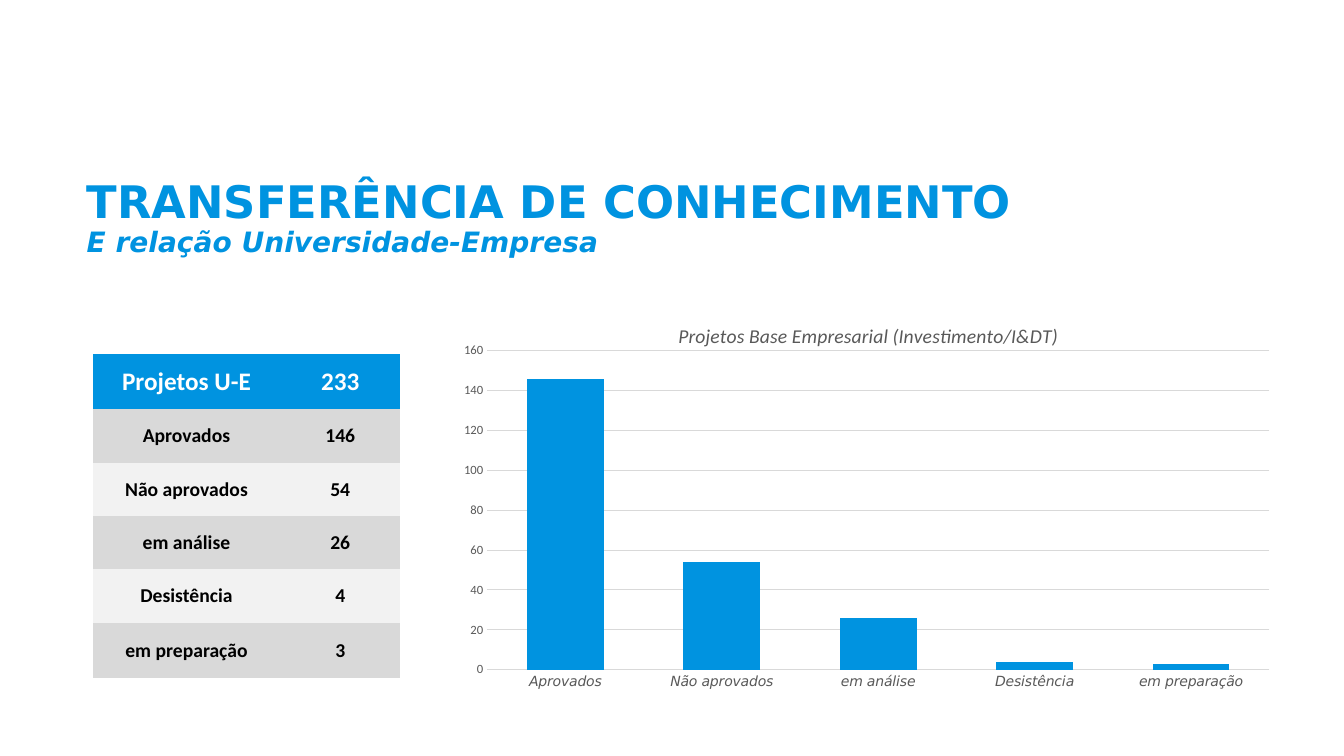
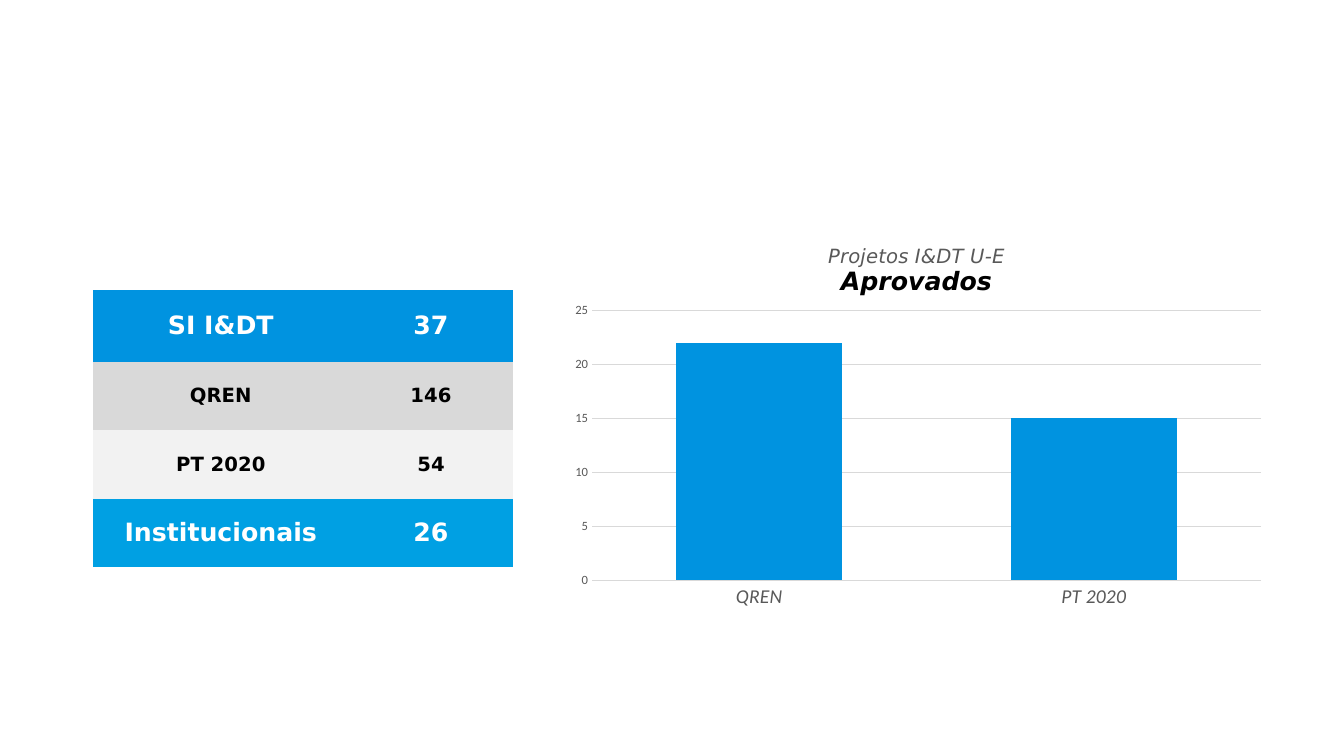
from dataclasses import dataclass

from lxml import etree
from pptx import Presentation
from pptx.chart.data import CategoryChartData
from pptx.dml.color import RGBColor
from pptx.enum import chart as ch, text as tx
from pptx.oxml import ns
from pptx.util import Inches, Pt

PLAIN_TABLE = "{2D5ABB26-0587-4C30-8999-92F81FD0307C}"


@dataclass(frozen=True)
class Theme:
    blue: str = "0093E0"
    sky: str = "00A0E3"
    white: str = "FFFFFF"
    black: str = "000000"
    gray: str = "595959"
    rule: str = "D9D9D9"
    bands: tuple = ("D9D9D9", "F2F2F2")
    sans: str = "Calibri"
    wide: str = "DejaVu Sans"
    title: int = 32
    subtitle: int = 20
    head: int = 18
    body: int = 14
    label: int = 10
    tick: int = 9


THEME = Theme()


def set_font(font, size=None, color=None, face=None, bold=False, italic=False):
    font.size, font.name = Pt(size), face
    font.bold, font.italic = bold, italic
    font.color.rgb = RGBColor.from_string(color)


def write(paragraph, text, align=None, **font_format):
    paragraph.alignment = align
    run = paragraph.add_run()
    run.text = text
    set_font(run.font, **font_format)


def set_layout(parent, index, **places):
    """Place a chart part by fractions of the chart's size."""
    for old in parent.findall(ns.qn("c:layout")):
        parent.remove(old)
    layout = etree.Element(ns.qn("c:layout"))
    manual = etree.SubElement(layout, ns.qn("c:manualLayout"))
    for key, value in places.items():
        etree.SubElement(manual, ns.qn("c:" + key)).set("val", str(value))
    parent.insert(index, layout)


class Deck:
    def __init__(self, theme):
        self.theme = theme
        self.prs = Presentation()
        self.prs.slide_width, self.prs.slide_height = Inches(13.33), Inches(7.5)
        self.slide = None

    def add_slide(self, layout):
        self.slide = self.prs.slides.add_slide(
            self.prs.slide_layouts.get_by_name(layout))

    def title(self, heading, subheading, box):
        t = self.theme
        title = self.slide.shapes.title
        title.left, title.top, title.width, title.height = map(Inches, box)
        frame = title.text_frame
        frame.auto_size = tx.MSO_AUTO_SIZE.NONE
        frame.vertical_anchor = tx.MSO_ANCHOR.MIDDLE
        line = frame.paragraphs[0]
        line.line_spacing = 0.9
        look = dict(align=tx.PP_ALIGN.LEFT, color=t.blue, face=t.wide, bold=True)
        write(line, heading, size=t.title, **look)
        line.add_line_break()
        write(line, subheading, size=t.subtitle, italic=True, **look)

    def table(self, rows, at, widths, heights, face, headings):
        """Draw banded rows; headings maps a row number to its fill."""
        t = self.theme
        frame = self.slide.shapes.add_table(
            len(rows), len(widths), *map(Inches, (*at, sum(widths), sum(heights))))
        grid = frame.table
        grid.first_row = grid.horz_banding = False
        next(frame.element.iter(ns.qn("a:tableStyleId"))).text = PLAIN_TABLE
        for column, width in zip(grid.columns, widths):
            column.width = Inches(width)
        for number, (values, height) in enumerate(zip(rows, heights)):
            grid.rows[number].height = Inches(height)
            is_heading = number in headings
            fill = headings.get(number, t.bands[(number - 1) % 2])
            for cell, value in zip(grid.rows[number].cells, values):
                cell.fill.solid()
                cell.fill.fore_color.rgb = RGBColor.from_string(fill)
                cell.vertical_anchor = tx.MSO_ANCHOR.MIDDLE
                cell.margin_left = cell.margin_right = Inches(0.08)
                cell.margin_top = cell.margin_bottom = Inches(0.08)
                write(cell.text_frame.paragraphs[0], str(value),
                      align=tx.PP_ALIGN.CENTER, face=face, bold=True,
                      size=t.head if is_heading else t.body,
                      color=t.white if is_heading else t.black)

    def column_chart(self, values, box, title_lines, title_at, plot, gap,
                     top, step, label_format):
        t = self.theme
        data = CategoryChartData()
        data.categories = list(values)
        data.add_series("Series 1", list(values.values()))
        chart = self.slide.shapes.add_chart(
            ch.XL_CHART_TYPE.COLUMN_CLUSTERED, *map(Inches, box), data).chart
        set_font(chart.font, size=t.label, color=t.black, face=t.sans)
        chart.has_legend = False

        chart.has_title = True
        title = chart.chart_title
        frame = title.text_frame
        for number, (text, look) in enumerate(title_lines):
            line = frame.add_paragraph() if number else frame.paragraphs[0]
            write(line, text, italic=True, **look)
        set_layout(title.format and chart.element.find(".//" + ns.qn("c:title")), 1,
                   xMode="edge", yMode="edge", x=title_at[0], y=title_at[1])
        set_layout(chart.element.find(".//" + ns.qn("c:plotArea")), 0,
                   layoutTarget="inner", xMode="edge", yMode="edge",
                   **dict(zip("xywh", plot)))

        columns = chart.plots[0]
        columns.gap_width, columns.overlap = gap, -27
        columns.vary_by_categories = False
        bars = columns.series[0].format.fill
        bars.solid()
        bars.fore_color.rgb = RGBColor.from_string(t.blue)

        names, scale = chart.category_axis, chart.value_axis
        for axis in (names, scale):
            axis.major_tick_mark = axis.minor_tick_mark = ch.XL_TICK_MARK.NONE
        set_font(names.tick_labels.font, color=t.gray, italic=True, **label_format)
        set_font(scale.tick_labels.font, color=t.gray, size=t.tick, face=t.sans)
        scale.minimum_scale, scale.maximum_scale, scale.major_unit = 0, top, step
        scale.has_major_gridlines = True
        scale.format.line.fill.background()
        for rule in (names.format.line, scale.major_gridlines.format.line):
            rule.color.rgb = RGBColor.from_string(t.rule)
            rule.width = Pt(0.75)


def main():
    t = THEME
    deck = Deck(t)

    deck.add_slide("Title Only")
    deck.title("TRANSFERÊNCIA DE CONHECIMENTO", "E relação Universidade-Empresa",
               box=(0.76, 1.55, 11.02, 1.25))
    projects = {"Aprovados": 146, "Não aprovados": 54, "em análise": 26,
                "Desistência": 4, "em preparação": 3}
    deck.table([("Projetos U-E", sum(projects.values())), *projects.items()],
               at=(0.92, 3.51), widths=(1.86, 1.19),
               heights=(0.55, *[0.53] * 4, 0.55), face=t.sans,
               headings={0: t.blue})
    deck.column_chart(
        projects, box=(4.46, 2.96, 8.27, 4.09),
        title_lines=[("Projetos Base Empresarial (Investimento/I&DT)",
                      dict(size=t.body, color=t.gray, face=t.sans))],
        title_at=(0.27, 0.05), plot=(0.045, 0.127, 0.938, 0.774), gap=104,
        top=160, step=20, label_format=dict(size=t.label, face=t.wide))

    deck.add_slide("Blank")
    approved = {"QREN": 22, "PT 2020": 15}
    deck.column_chart(
        approved, box=(5.56, 2.18, 7.09, 3.94),
        title_lines=[
            ("Projetos I&DT U-E", dict(size=t.body, color=t.gray, face=t.wide)),
            ("Aprovados", dict(size=t.head, color=t.black, face=t.wide, bold=True))],
        title_at=(0.37, 0.05), plot=(0.044, 0.229, 0.936, 0.679), gap=101,
        top=25, step=5, label_format=dict(size=t.body, face=t.sans))
    deck.table([("SI I&DT", sum(approved.values())), ("QREN", 146),
                ("PT 2020", 54), ("Institucionais", 26)],
               at=(0.92, 2.88), widths=(2.54, 1.63),
               heights=(0.71, *[0.68] * 3), face=t.wide,
               headings={0: t.blue, 3: t.sky})

    deck.prs.save("out.pptx")


if __name__ == "__main__":
    main()
